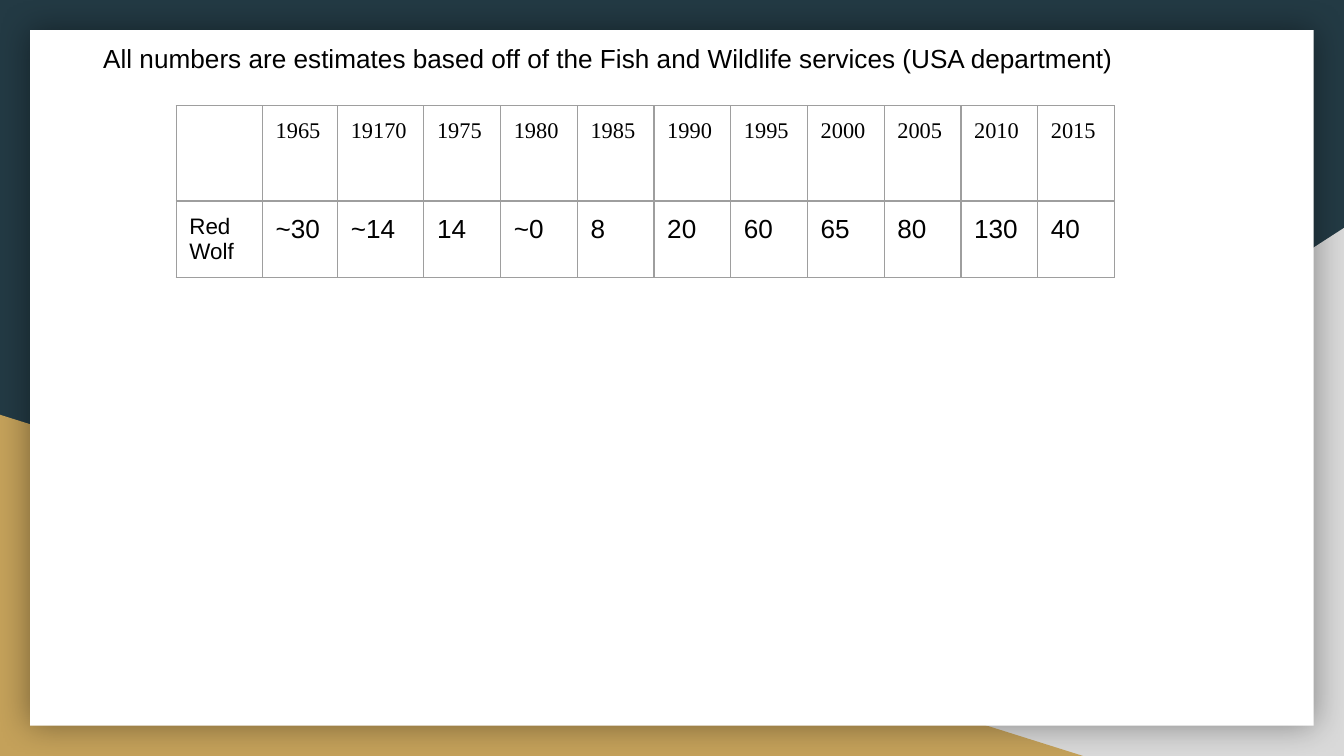
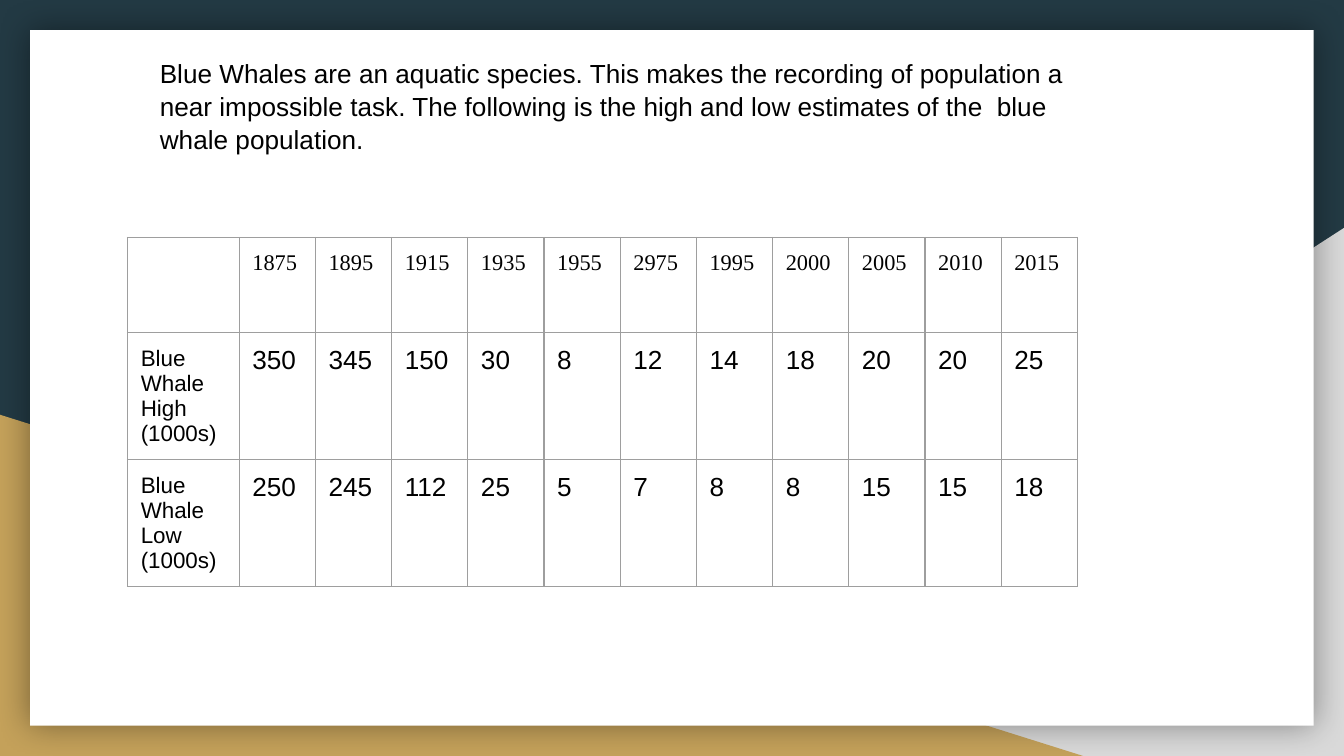
from dataclasses import dataclass

from lxml import etree
from pptx import Presentation
from pptx import util as u
from pptx.dml import color
from pptx.enum import shapes, text
from pptx.oxml import ns

COLORS = {
    "navy": "233A44",
    "gold": "C4A15A",
    "silver": "D9D9D9",
    "card": "FFFFFF",
    "ink": "000000",
    "grid": "9E9E9E",
}
CAPTION = {"name": "Arial", "size": u.Pt(14), "bold": False}
YEAR = {"name": "Times New Roman", "size": u.Pt(12)}
SPECIES = {"name": "Arial", "size": u.Pt(12)}
COUNT = {"name": "Arial", "size": u.Pt(14)}
INSETS = ("margin_left", "margin_right", "margin_top", "margin_bottom")
PADDING = dict.fromkeys(INSETS, u.Cm(0.25))
CAPTION_FRAME = {
    **PADDING,
    "word_wrap": True,
    "auto_size": text.MSO_AUTO_SIZE.NONE,
    "vertical_anchor": text.MSO_ANCHOR.TOP,
}
CAPTION_PARAGRAPH = {"alignment": text.PP_ALIGN.LEFT, "line_spacing": 1.05}
PLAIN_TABLE = {"first_row": False, "horz_banding": False}
HEADER_HEIGHT = 1.8
ROW_HEIGHT = 1.15


@dataclass
class Box:
    left: float
    top: float
    width: float
    height: float

    def lengths(self):
        return [u.Cm(v) for v in (self.left, self.top, self.width, self.height)]


PAGE = Box(0, 0, 25.4, 14.29)


def apply(target, values):
    for key, value in values.items():
        setattr(target, key, value)


def rgb(key):
    return color.RGBColor.from_string(COLORS[key])


def style_font(font, values):
    apply(font, values)
    font.color.rgb = rgb("ink")


def add_panel(slide, kind, box, fill):
    panel = slide.shapes.add_shape(kind, *box.lengths())
    panel.shadow.inherit = False
    panel.fill.solid()
    panel.fill.fore_color.rgb = rgb(fill)
    panel.line.fill.background()
    return panel


def add_glow(panel):
    effects = panel.element.spPr.find(ns.qn("a:effectLst"))
    glow = etree.SubElement(effects, ns.qn("a:outerShdw"), blurRad=str(u.Pt(18)),
                            dist="0", algn="ctr", rotWithShape="0")
    tone = etree.SubElement(glow, ns.qn("a:srgbClr"), val=COLORS["ink"])
    etree.SubElement(tone, ns.qn("a:alpha"), val="40000")


def build_backdrop(layout, slide, box):
    layout.background.fill.solid()
    layout.background.fill.fore_color.rgb = rgb("navy")

    triangle = shapes.MSO_SHAPE.RIGHT_TRIANGLE
    right, bottom = box.left + box.width, box.top + box.height
    silver = add_panel(slide, triangle,
                       Box(right - 15.44, bottom - 9.98, 15.44, 9.98), "silver")
    silver.element.spPr.find(ns.qn("a:xfrm")).set("flipH", "1")
    gold = add_panel(slide, triangle,
                     Box(box.left, bottom - 6.45, 20.47, 6.45), "gold")
    card = add_panel(slide, shapes.MSO_SHAPE.RECTANGLE,
                     Box(box.left + 0.57, box.top + 0.57,
                         box.width - 1.14, box.height - 1.14), "card")
    add_glow(card)

    for order, panel in enumerate((silver, gold, card)):
        panel.element.nvSpPr.cNvPr.set("id", str(100 + order))
        layout.shapes.element.insert(2 + order, panel.element)


def place_caption(slide, box, words):
    caption = slide.shapes.title
    apply(caption, dict(zip(("left", "top", "width", "height"), box.lengths())))
    apply(caption.text_frame, CAPTION_FRAME)
    caption.text_frame.text = words
    paragraph = caption.text_frame.paragraphs[0]
    apply(paragraph, CAPTION_PARAGRAPH)
    style_font(paragraph.runs[0].font, CAPTION)


def outline_cell(cell):
    properties = cell._tc.get_or_add_tcPr()
    for side in ("lnL", "lnR", "lnT", "lnB"):
        border = etree.SubElement(properties, ns.qn(f"a:{side}"), w=str(u.Pt(0.75)))
        fill = etree.SubElement(border, ns.qn("a:solidFill"))
        etree.SubElement(fill, ns.qn("a:srgbClr"), val=COLORS["grid"])
    cell.fill.background()


def fill_cell(cell, words, font):
    apply(cell, PADDING)
    outline_cell(cell)
    cell.text_frame.text = words
    for paragraph in cell.text_frame.paragraphs:
        for run in paragraph.runs:
            style_font(run.font, font)


def place_population(slide, left, top, widths, years, counts):
    heights = [HEADER_HEIGHT] + [ROW_HEIGHT] * len(counts)
    box = Box(left, top, sum(widths), sum(heights))
    population = slide.shapes.add_table(len(heights), len(widths), *box.lengths()).table
    apply(population, PLAIN_TABLE)
    for column, width in zip(population.columns, widths):
        column.width = u.Cm(width)
    for row, height in zip(population.rows, heights):
        row.height = u.Cm(height)

    lines = [("", years)] + list(counts.items())
    for r, (species, values) in enumerate(lines):
        fill_cell(population.cell(r, 0), species, SPECIES)
        for c, value in enumerate(values.split(), start=1):
            fill_cell(population.cell(r, c), value, COUNT if r else YEAR)


def build_red_wolf(slide, box):
    place_caption(
        slide, Box(box.left + 1.7, box.top + 0.53, 22.78, 1.88),
        "All numbers are estimates based off of the Fish and Wildlife services "
        "(USA department)")
    place_population(
        slide, box.left + 3.33, box.top + 2, [1.63, 1.42, 1.63] + [1.45] * 9,
        "1965 19170 1975 1980 1985 1990 1995 2000 2005 2010 2015",
        {"Red Wolf": "~30 ~14 14 ~0 8 20 60 65 80 130 40"})


def build_blue_whale(slide, box):
    place_caption(
        slide, Box(box.left + 2.77, box.top + 0.81, 18.67, 3.2),
        "Blue Whales are an aquatic species. This makes the recording of population "
        "a near impossible task. The following is the high and low estimates of "
        "the  blue whale population.")
    place_population(
        slide, box.left + 2.41, box.top + 4.49, [2.11] + [1.44] * 11,
        "1875 1895 1915 1935 1955 2975 1995 2000 2005 2010 2015",
        {"Blue Whale\nHigh (1000s)": "350 345 150 30 8 12 14 18 20 20 25",
         "Blue Whale\nLow\n(1000s)": "250 245 112 25 5 7 8 8 15 15 18"})


def main():
    deck = Presentation()
    deck.slide_width, deck.slide_height = u.Cm(PAGE.width), u.Cm(PAGE.height)
    layout = deck.slide_layouts[5]
    red_wolf, blue_whale = (deck.slides.add_slide(layout) for _ in range(2))
    build_backdrop(layout, red_wolf, PAGE)
    build_red_wolf(red_wolf, PAGE)
    build_blue_whale(blue_whale, PAGE)
    deck.save("out.pptx")


if __name__ == "__main__":
    main()
